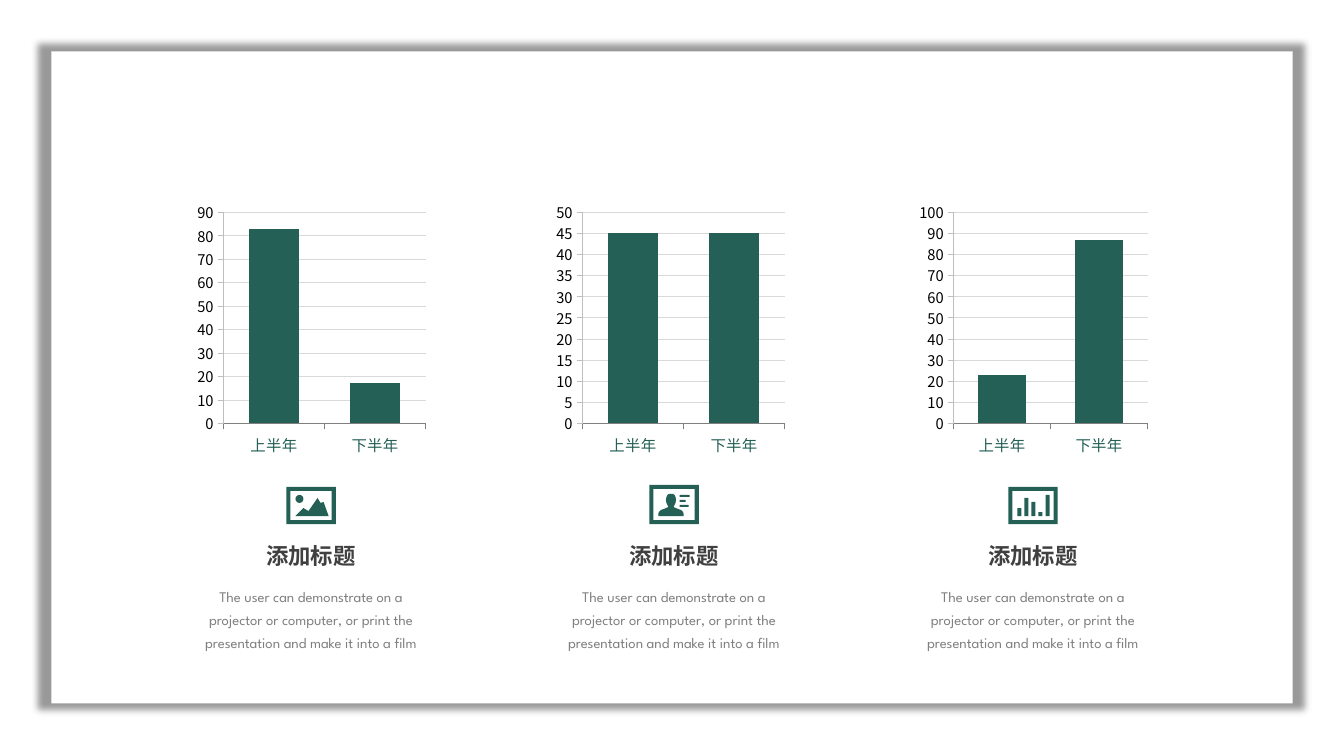
from lxml import etree
from pptx import Presentation
from pptx.chart.data import CategoryChartData
from pptx.dml.color import RGBColor
from pptx.enum.chart import XL_CHART_TYPE as ChartType, XL_TICK_MARK as Tick
from pptx.enum.shapes import MSO_SHAPE as Preset
from pptx.enum.text import PP_ALIGN as Align
from pptx.oxml.ns import qn
from pptx.util import Inches, Pt

GREEN = "246056"
CJK = "Noto Sans CJK SC"
HEADING = "添加标题"
DESCRIPTION = ("The user can demonstrate on a projector or computer, "
               "or print the presentation and make it into a film")
HEADING_FORMAT = {"size": Pt(16), "name": CJK, "bold": True}
DESCRIPTION_FORMAT = {"size": Pt(10.5), "name": "League Spartan"}
ICON_OFFSET = 0.93

MOUNTAINS = [(0.09, 0.29), (0.42, 0.29), (0.37, 0.15), (0.34, 0.16),
             (0.31, 0.11), (0.22, 0.24), (0.17, 0.21)]
# Right half of the portrait: distance from its axis, distance from the icon top
PORTRAIT_AXIS = 0.215
PORTRAIT_HALF = [(0, 0.09), (0.02, 0.09), (0.035, 0.1), (0.045, 0.12), (0.05, 0.15),
                 (0.045, 0.18), (0.035, 0.2), (0.025, 0.22), (0.06, 0.235),
                 (0.1, 0.25), (0.12, 0.27), (0.125, 0.285), (0.125, 0.31)]


def rgb(color):
    return RGBColor.from_string(color)


def add_preset(shapes, preset, left, top, width, height, color=GREEN):
    part = shapes.add_shape(preset, Inches(left), Inches(top),
                            Inches(width), Inches(height))
    paint(part, color)
    return part


def paint(part, color):
    part.shadow.inherit = False
    part.fill.solid()
    part.fill.fore_color.rgb = rgb(color)
    part.line.fill.background()


def add_outline(shapes, left, top, points):
    corners = [(Inches(left + x), Inches(top + y)) for x, y in points]
    builder = shapes.build_freeform(*corners[0])
    builder.add_line_segments(corners[1:])
    paint(builder.convert_to_shape(), GREEN)


def add_icon_frame(shapes, left, top, height):
    frame = add_preset(shapes, Preset.FRAME, left, top, 0.49, height)
    frame.adjustments[0] = 0.04 / height


def add_landscape_icon(shapes, left):
    top = 4.83
    add_icon_frame(shapes, left, top, 0.37)
    add_outline(shapes, left, top, MOUNTAINS)
    add_preset(shapes, Preset.OVAL, left + 0.09, top + 0.08, 0.08, 0.08)


def add_profile_icon(shapes, left):
    top = 4.81
    add_icon_frame(shapes, left, top, 0.39)
    right_half = [(PORTRAIT_AXIS + x, y) for x, y in PORTRAIT_HALF]
    left_half = [(PORTRAIT_AXIS - x, y) for x, y in reversed(PORTRAIT_HALF[1:])]
    add_outline(shapes, left, top, right_half + left_half)
    for row, width in enumerate((0.1, 0.06, 0.09)):
        add_preset(shapes, Preset.RECTANGLE, left + 0.3,
                   top + 0.1 + 0.05 * row, width, 0.02)


def add_bars_icon(shapes, left):
    top, baseline = 4.83, 5.12
    add_icon_frame(shapes, left, top, 0.37)
    for column, height in enumerate((0.08, 0.18, 0.14, 0.04, 0.21)):
        add_preset(shapes, Preset.RECTANGLE, left + 0.09 + 0.07 * column,
                   baseline - height, 0.04, height)


def add_card(shapes):
    """Add the white page panel with its soft grey shadow."""
    card = add_preset(shapes, Preset.RECTANGLE, 0.51, 0.51, 12.31, 6.47, "FFFFFF")
    effects = card._element.spPr.find(qn("a:effectLst"))
    shadow = etree.SubElement(effects, qn("a:outerShdw"), blurRad=str(Pt(5)),
                              sx="102000", sy="102000", algn="ctr", rotWithShape="0")
    shade = etree.SubElement(shadow, qn("a:srgbClr"), val="000000")
    etree.SubElement(shade, qn("a:alpha"), val="40000")


def apply_font(font, formats, color):
    for attribute, value in formats.items():
        setattr(font, attribute, value)
    font.color.rgb = rgb(color)
    # East Asian glyphs take their own typeface element
    latin = font._element.find(qn("a:latin"))
    if latin is not None:
        east_asian = etree.Element(qn("a:ea"), typeface=formats["name"])
        latin.addnext(east_asian)


def add_text(shapes, text, left, top, width, height, formats, color, spacing=1.0):
    frame = shapes.add_textbox(Inches(left), Inches(top),
                               Inches(width), Inches(height)).text_frame
    frame.word_wrap = True
    paragraph = frame.paragraphs[0]
    paragraph.alignment = Align.CENTER
    paragraph.line_spacing = spacing
    run = paragraph.add_run()
    run.text = text
    apply_font(run.font, formats, color)


def style_line(line, color):
    line.color.rgb = rgb(color)
    line.width = Pt(0.5)


def add_half_year_chart(shapes, left, values, maximum, step):
    data = CategoryChartData()
    data.categories = ["上半年", "下半年"]
    data.add_series("Series 1", values)
    chart = shapes.add_chart(ChartType.COLUMN_CLUSTERED, Inches(left), Inches(1.95),
                             Inches(2.36), Inches(2.62), data).chart
    chart.has_legend = False
    chart.has_title = False
    apply_font(chart.font, {"size": Pt(18), "name": "Calibri"}, "000000")

    plot = chart.plots[0]
    plot.gap_width = 100
    plot.vary_by_categories = False
    fill = plot.series[0].format.fill
    fill.solid()
    fill.fore_color.rgb = rgb(GREEN)

    for axis, size, color, line_color in (
            (chart.category_axis, 11, GREEN, "808080"),
            (chart.value_axis, 10.5, "000000", "BFBFBF")):
        apply_font(axis.tick_labels.font, {"size": Pt(size), "name": CJK}, color)
        style_line(axis.format.line, line_color)
        axis.major_tick_mark = Tick.OUTSIDE
        axis.minor_tick_mark = Tick.NONE

    scale = chart.value_axis
    scale.minimum_scale = 0
    scale.maximum_scale = maximum
    scale.major_unit = step
    scale.has_major_gridlines = True
    style_line(scale.major_gridlines.format.line, "D9D9D9")


def main():
    deck = Presentation()
    deck.slide_width, deck.slide_height = Inches(13.33), Inches(7.5)
    shapes = deck.slides.add_slide(deck.slide_layouts[6]).shapes
    add_card(shapes)

    columns = [
        (1.91, 1.91, (83, 17), 90, 10, add_landscape_icon),
        (5.51, 5.47, (45, 45), 50, 5, add_profile_icon),
        (9.07, 9.07, (23, 87), 100, 10, add_bars_icon),
    ]
    for left, chart_left, values, maximum, step, add_icon in columns:
        add_half_year_chart(shapes, chart_left, values, maximum, step)
        add_icon(shapes.add_group_shape().shapes, left + ICON_OFFSET)
        add_text(shapes, HEADING, left + 0.11, 5.33, 2.13, 0.37,
                 HEADING_FORMAT, "404040")
        add_text(shapes, DESCRIPTION, left, 5.73, 2.35, 0.81,
                 DESCRIPTION_FORMAT, "808080", spacing=1.3)

    deck.save("out.pptx")


if __name__ == "__main__":
    main()
